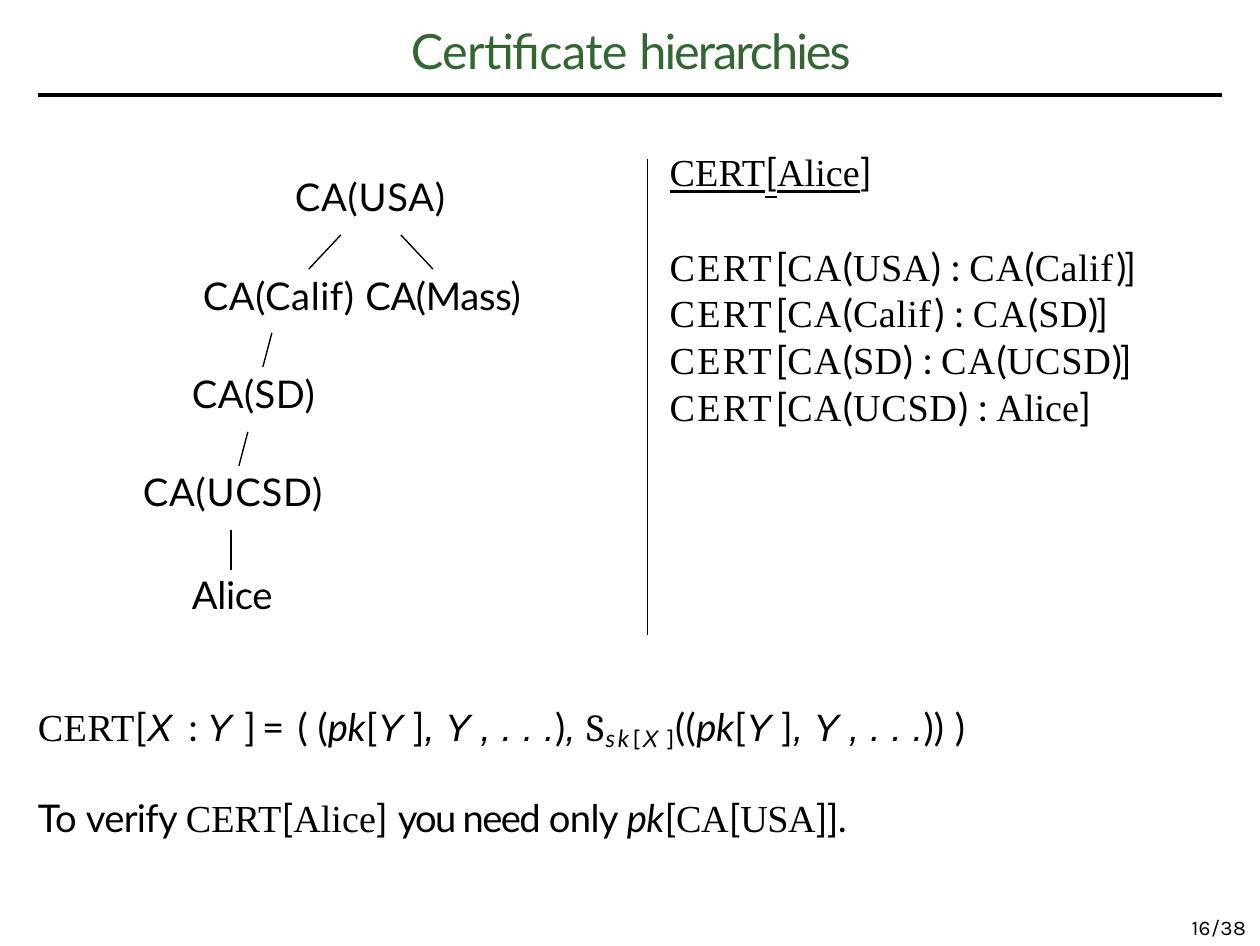
"""Build the slide on certificate hierarchies."""
from lxml.etree import SubElement
from pptx import Presentation
from pptx.dml.color import RGBColor
from pptx.enum.shapes import MSO_CONNECTOR
from pptx.oxml.ns import qn
from pptx.util import Emu, Pt

PX = 914400 / 250
BLACK = RGBColor(0, 0, 0)
GREEN = RGBColor(0x33, 0x66, 0x33)
LATO, TIMES, ARIAL, KARLA = "Lato", "Times New Roman", "Arial", "Karla"

deck = Presentation()
deck.slide_width = Pt(363)
deck.slide_height = Pt(272.5)
slide = deck.slides.add_slide(deck.slide_layouts[6])


def add_box(left, top, width, height, inset):
    """Add an empty text box and return its frame."""
    box = slide.shapes.add_textbox(*(Emu(round(n * PX)) for n in (left, top, width, height)))
    frame = box.text_frame
    frame.word_wrap = True
    frame.margin_left = frame.margin_right = frame.margin_bottom = 0
    frame.margin_top = Emu(round(inset * PX))
    return frame


def write(frame, runs, before, indent=0, size=11, color=BLACK):
    """Write one paragraph of (text, font, spacing, italic) runs."""
    first = frame.paragraphs[0]
    para = frame.add_paragraph() if first.runs else first
    para.space_before = Pt(before)
    para._p.get_or_add_pPr().set("marL", str(round(indent * PX)))
    for text, font, gap, *slant in runs:
        run = para.add_run()
        run.text = text
        run.font.name, run.font.size = font, Pt(size)
        run.font.color.rgb = color
        run.font.italic = bool(slant)
        run._r.get_or_add_rPr().set("spc", str(round(gap * 100)))
    return para


title = add_box(408, 16, 443, 68, 5)
write(title, [("Certificate ", LATO, -0.2), ("hierarchies", LATO, -0.6)], 1.4, 3, 14, GREEN)

tree = add_box(138, 171, 408, 450, 3)
levels = [
    ([("CA(USA)", LATO, 0.2)], 0.9, 157),
    ([("CA(Calif) ", LATO, 0.15), ("CA(Mass)", LATO, -0.1)], 15.1, 65),
    ([("CA(SD)", LATO, 0.1)], 15.1, 54),
    ([("CA(UCSD)", LATO, 0.2)], 15.1, 5),
    ([("Alice", LATO, -0.1)], 16.3, 54),
]
for runs, before, indent in levels:
    write(tree, runs, before, indent)

lines = [
    (38, 95, 1222, 95, 1),
    (341, 235, 309, 269, 0.4),
    (401, 235, 433, 269, 0.4),
    (272, 333, 263, 367, 0.4),
    (248, 432, 239, 466, 0.4),
    (231, 530, 231, 570, 0.4),
    (648, 635, 648, 159, 0.4),
]
for *ends, weight in lines:
    line = slide.shapes.add_connector(MSO_CONNECTOR.STRAIGHT, *(Emu(round(n * PX)) for n in ends))
    line.line.color.rgb = BLACK
    line.line.width = Pt(weight)
    SubElement(line._element.spPr, qn("a:effectLst"))

certs = add_box(667, 146, 495, 288, 3)
alice = [("CERT", TIMES, 0), ("[", LATO, 0), ("Alice", TIMES, 0), ("]", LATO, 0)]
head = write(certs, alice, 0.9, 3)
for run in head.runs[:3]:
    run.font.underline = True

start = [("CE", TIMES, 0.6), ("R", TIMES, -0.3), ("T", TIMES, 1.1), ("[", LATO, -1.1)]
open_ca = [("CA", TIMES, 0.3), ("(", LATO, -0.1)]
colon = [(") ", LATO, 0), (": ", LATO, -0.3)]
names = {
    "USA": [("USA", TIMES, 0.1)],
    "Calif": [("Cali", TIMES, 0.1), ("f", TIMES, 0.9)],
    "SD": [("SD", TIMES, 0.1)],
    "UCSD": [("UCSD", TIMES, 0.2)],
}
chain = list(names)
before = 13.9
for signer, holder in zip(chain, chain[1:] + ["Alice"]):
    if holder in names:
        end = open_ca + names[holder] + [(")]", LATO, -0.6)]
    else:
        end = [(holder, TIMES, 0), ("]", LATO, -1.1)]
    write(certs, start + open_ca + names[signer] + colon + end, before, 3)
    before = 0.3

page = add_box(1182, 907, 78, 38, 8)
write(page, [("16/38", KARLA, 0.1)], 1.9, 10, 6)

notes = add_box(28, 697, 950, 140, 3)
key = [
    ("pk", LATO, -0.1, True), ("[", LATO, -0.1), ("Y ", ARIAL, -0.1, True),
    ("]", LATO, -0.6), (", ", ARIAL, -0.2, True), ("Y , . . .", ARIAL, 0, True),
]
lead = [
    ("CERT", TIMES, 0.1), ("[", LATO, 0.1), ("X ", ARIAL, 0.7, True), (": ", LATO, -0.3),
    ("Y ", ARIAL, 0.3, True), ("] ", LATO, -1.1), ("= ", LATO, 0.5), ("( ", LATO, 0),
    ("(", LATO, -0.1),
]
sign = [(")", LATO, -0.1), (", ", ARIAL, 0, True), ("S", "Cambria", 0.5)]
sub = [
    ("sk", LATO, 0.8, True), ("[", KARLA, 0.8), ("X ", ARIAL, 0.35, True), ("]", KARLA, 0.1),
]
close = [(")) ", LATO, 0.1), (")", LATO, 0)]
rule = write(notes, lead + key + sign + sub + [("((", LATO, 0.1)] + key + close, 0.9, 10)
low = len(lead + key + sign)
for run in rule.runs[low:low + len(sub)]:
    run.font.size = Pt(12)
    run._r.get_or_add_rPr().set("baseline", "-14000")

check = [
    ("To ", LATO, -0.2), ("verify ", LATO, -0.23), *alice[:3], ("] ", LATO, 0),
    ("you ", LATO, -0.5), ("need ", LATO, -0.5), ("only ", LATO, -0.2),
    ("pk", LATO, -0.2, True), ("[", LATO, -0.2), ("CA", TIMES, -0.2), ("[", LATO, -0.2),
    ("USA", TIMES, -0.2), ("]].", LATO, -0.2),
]
write(notes, check, 12.1, 10)

deck.save("out.pptx")
